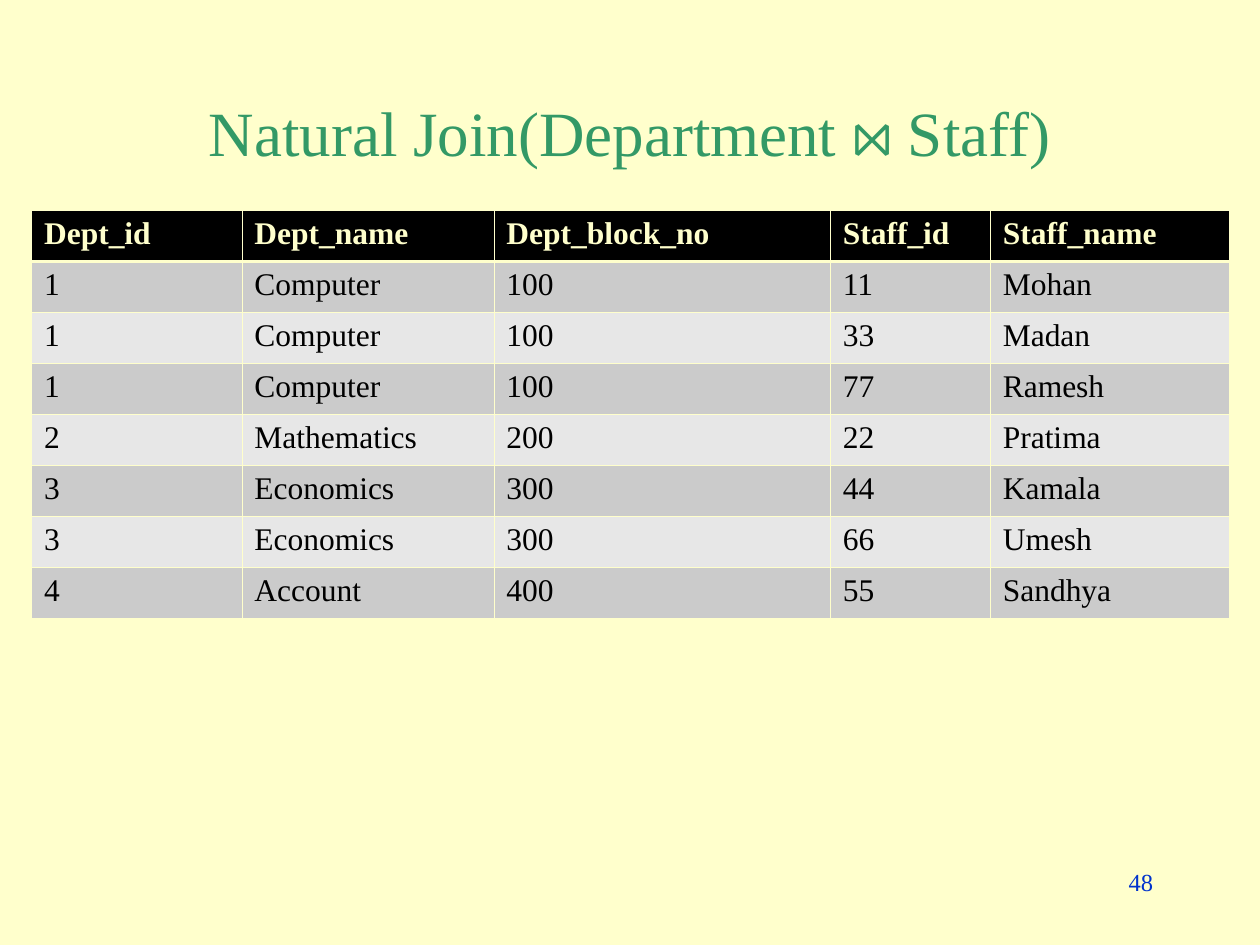
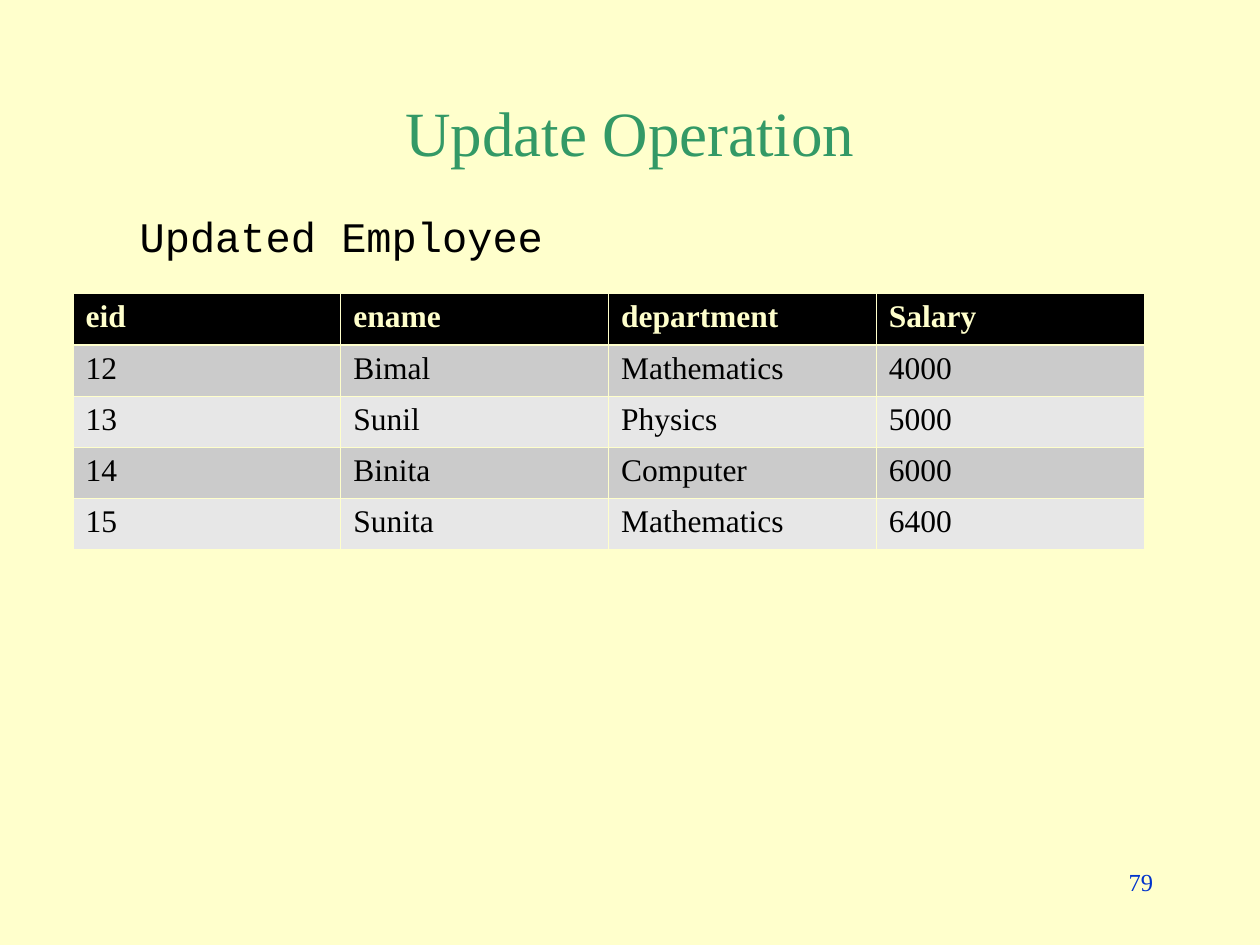
from dataclasses import dataclass

from lxml import etree
from pptx import Presentation
from pptx.dml.color import RGBColor
from pptx.enum.text import MSO_ANCHOR, PP_ALIGN
from pptx.oxml.ns import qn
from pptx.slide import Slide
from pptx.table import _Cell
from pptx.util import Inches, Pt

LEFT, CENTER, RIGHT = PP_ALIGN.LEFT, PP_ALIGN.CENTER, PP_ALIGN.RIGHT
TOP, MIDDLE = MSO_ANCHOR.TOP, MSO_ANCHOR.MIDDLE

CREAM, GREEN, BLUE, BLACK = "FFFFCC", "339966", "0033CC", "000000"
BANDS = ("CBCBCB", "E7E7E7")
SERIF, MONO = "Times New Roman", "Courier New"
THIN, THICK = 0.45, 1.47


@dataclass(frozen=True)
class TextStyle:
    size: float
    color: str
    font: str = SERIF
    bold: bool = False
    align: PP_ALIGN = LEFT
    anchor: MSO_ANCHOR = TOP
    wrap: bool = True


@dataclass(frozen=True)
class Box:
    left: float
    top: float
    width: float
    height: float


@dataclass(frozen=True)
class Relation:
    """A database relation: its place, column widths, and rows with the header first."""
    box: Box
    widths: list[float]
    rows: list[tuple[str, ...]]


TITLE = TextStyle(36, GREEN, align=CENTER, anchor=MIDDLE)
PAGE_NUMBER = TextStyle(14, BLUE, align=RIGHT)
CAPTION = TextStyle(24, BLACK, MONO, wrap=False)
HEADER = TextStyle(18, CREAM, bold=True)
BODY = TextStyle(18, BLACK)

TITLE_BOX = Box(0.75, 0.67, 8.5, 0.75)
PAGE_NUMBER_BOX = Box(7.17, 6.83, 2.08, 0.5)
CAPTION_BOX = Box(1.01, 1.62, 3.4, 0.5)

NATURAL_JOIN = Relation(
    Box(0.25, 1.67, 9.5, 3.24),
    [1.67, 2, 2.67, 1.27, 1.9],
    [
        ("Dept_id", "Dept_name", "Dept_block_no", "Staff_id", "Staff_name"),
        ("1", "Computer", "100", "11", "Mohan"),
        ("1", "Computer", "100", "33", "Madan"),
        ("1", "Computer", "100", "77", "Ramesh"),
        ("2", "Mathematics", "200", "22", "Pratima"),
        ("3", "Economics", "300", "44", "Kamala"),
        ("3", "Economics", "300", "66", "Umesh"),
        ("4", "Account", "400", "55", "Sandhya"),
    ],
)
UPDATED_EMPLOYEE = Relation(
    Box(0.58, 2.33, 8.5, 2.03),
    [8.5 / 4] * 4,
    [
        ("eid", "ename", "department", "Salary"),
        ("12", "Bimal", "Mathematics", "4000"),
        ("13", "Sunil", "Physics", "5000"),
        ("14", "Binita", "Computer", "6000"),
        ("15", "Sunita", "Mathematics", "6400"),
    ],
)


def rgb(color: str) -> RGBColor:
    return RGBColor.from_string(color)


def place(box: Box) -> list[int]:
    return [Inches(side) for side in (box.left, box.top, box.width, box.height)]


def write(text_frame, text: str, style: TextStyle) -> None:
    paragraph = text_frame.paragraphs[0]
    paragraph.alignment = style.align
    run = paragraph.add_run()
    run.text = text
    run.font.name = style.font
    run.font.size = Pt(style.size)
    run.font.bold = style.bold
    run.font.color.rgb = rgb(style.color)


def add_text(slide: Slide, box: Box, text: str, style: TextStyle) -> None:
    text_frame = slide.shapes.add_textbox(*place(box)).text_frame
    text_frame.word_wrap = style.wrap
    text_frame.vertical_anchor = style.anchor
    write(text_frame, text, style)


def set_borders(cell: _Cell, top: float, bottom: float) -> None:
    """Draw cream cell borders; the schema wants them ahead of the cell's fill."""
    properties = cell._tc.get_or_add_tcPr()
    for side, width in (("L", THIN), ("R", THIN), ("T", top), ("B", bottom)):
        line = etree.SubElement(properties, qn(f"a:ln{side}"), w=str(Pt(width)))
        fill = etree.SubElement(line, qn("a:solidFill"))
        etree.SubElement(fill, qn("a:srgbClr"), val=CREAM)


def add_relation(slide: Slide, relation: Relation) -> None:
    row_count = len(relation.rows)
    table = slide.shapes.add_table(
        row_count, len(relation.widths), *place(relation.box)
    ).table
    for column, width in zip(table.columns, relation.widths):
        column.width = Inches(width)
    for row_index, values in enumerate(relation.rows):
        table.rows[row_index].height = Inches(relation.box.height / row_count)
        is_header = row_index == 0
        background = BLACK if is_header else BANDS[(row_index - 1) % 2]
        for column_index, value in enumerate(values):
            cell = table.cell(row_index, column_index)
            set_borders(
                cell,
                top=THICK if row_index == 1 else THIN,
                bottom=THICK if is_header else THIN,
            )
            cell.fill.solid()
            cell.fill.fore_color.rgb = rgb(background)
            write(cell.text_frame, value, HEADER if is_header else BODY)


def add_relation_slide(
    deck, title: str, relation: Relation, page_number: str
) -> Slide:
    slide = deck.slides.add_slide(deck.slide_layouts[6])
    slide.background.fill.solid()
    slide.background.fill.fore_color.rgb = rgb(CREAM)
    add_text(slide, TITLE_BOX, title, TITLE)
    add_relation(slide, relation)
    add_text(slide, PAGE_NUMBER_BOX, page_number, PAGE_NUMBER)
    return slide


def main() -> None:
    deck = Presentation()
    deck.slide_width, deck.slide_height = Inches(10), Inches(7.5)
    add_relation_slide(deck, "Natural Join(Department ⋈ Staff)", NATURAL_JOIN, "48")
    update = add_relation_slide(deck, "Update Operation", UPDATED_EMPLOYEE, "79")
    add_text(update, CAPTION_BOX, "Updated Employee", CAPTION)
    deck.save("out.pptx")


if __name__ == "__main__":
    main()
